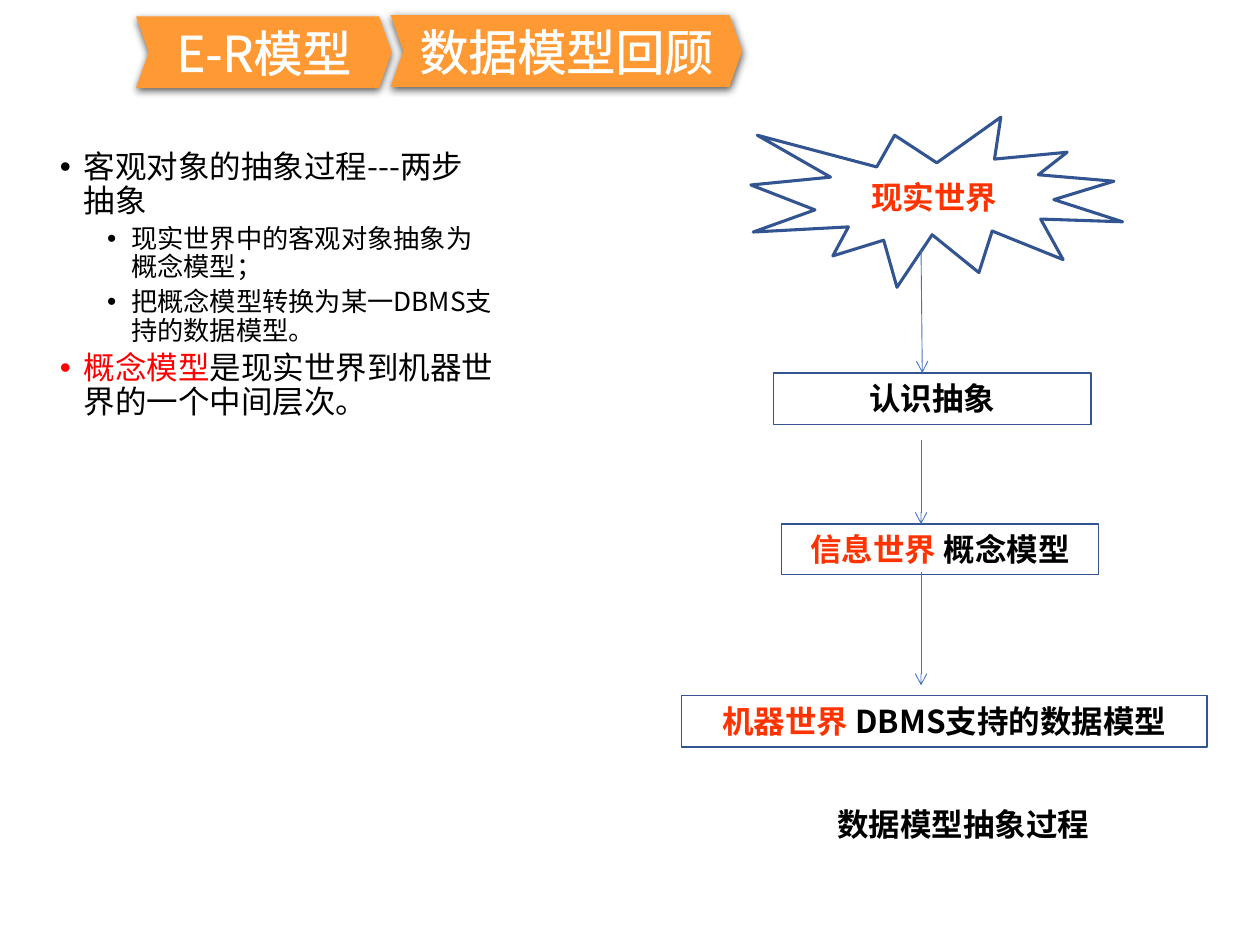
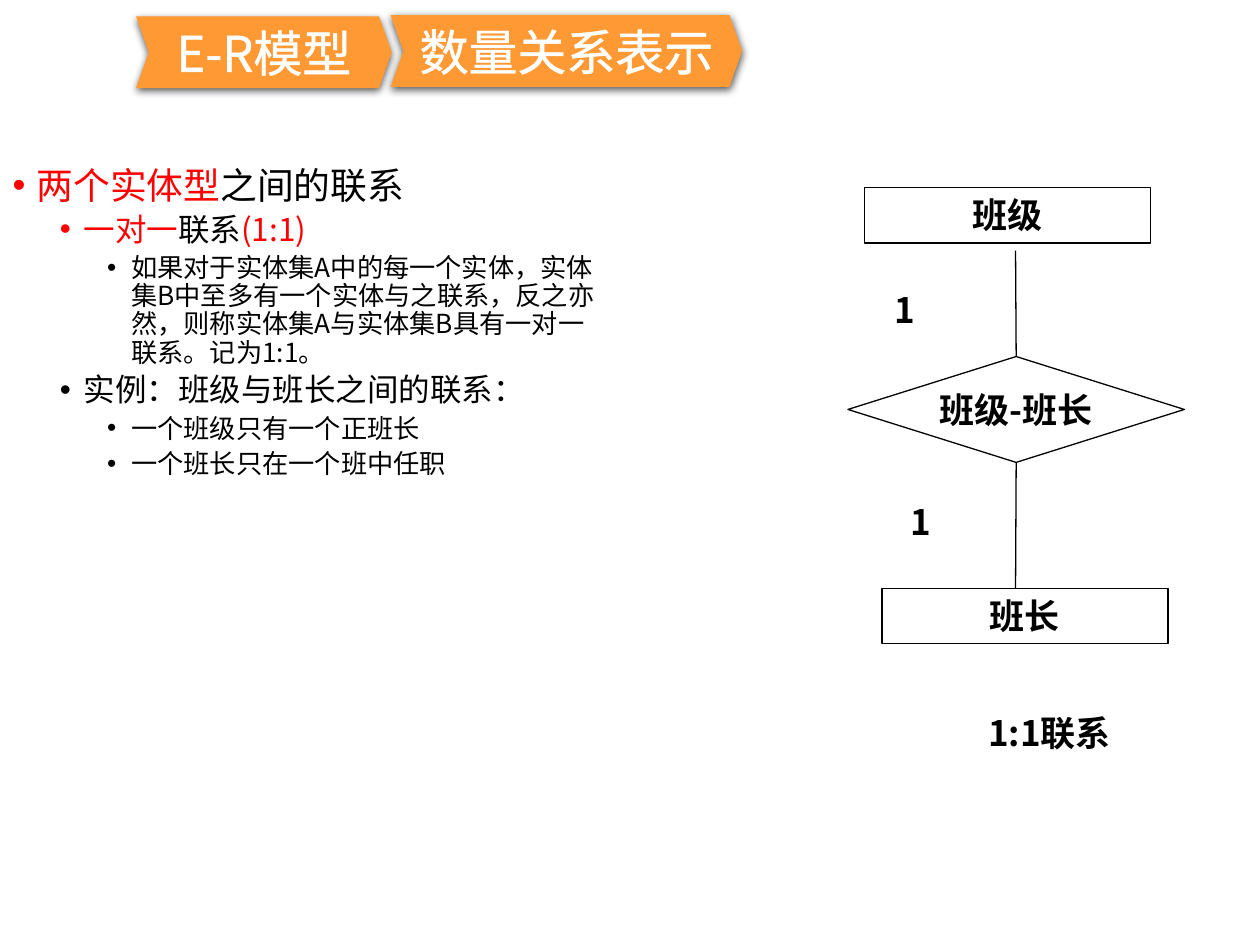
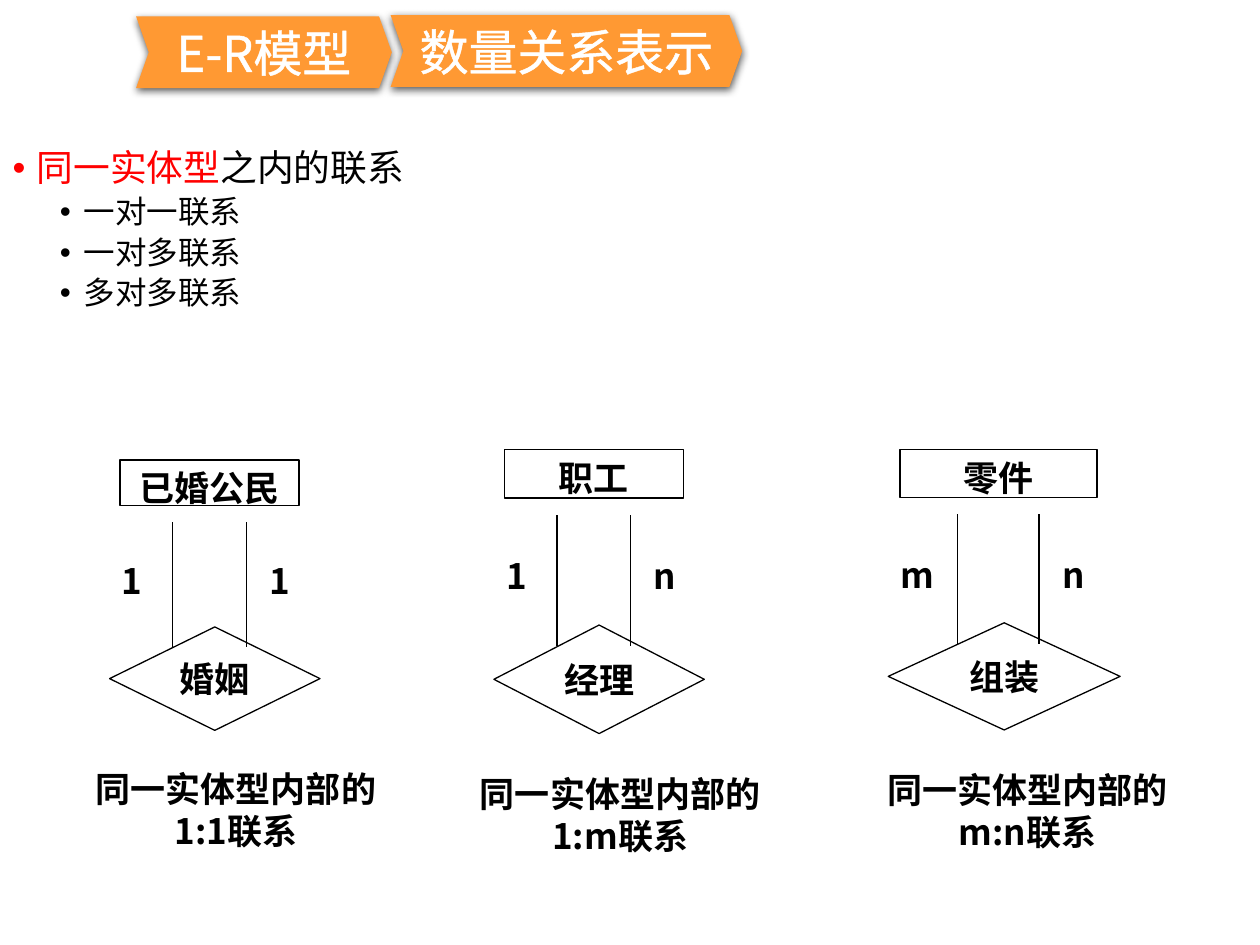
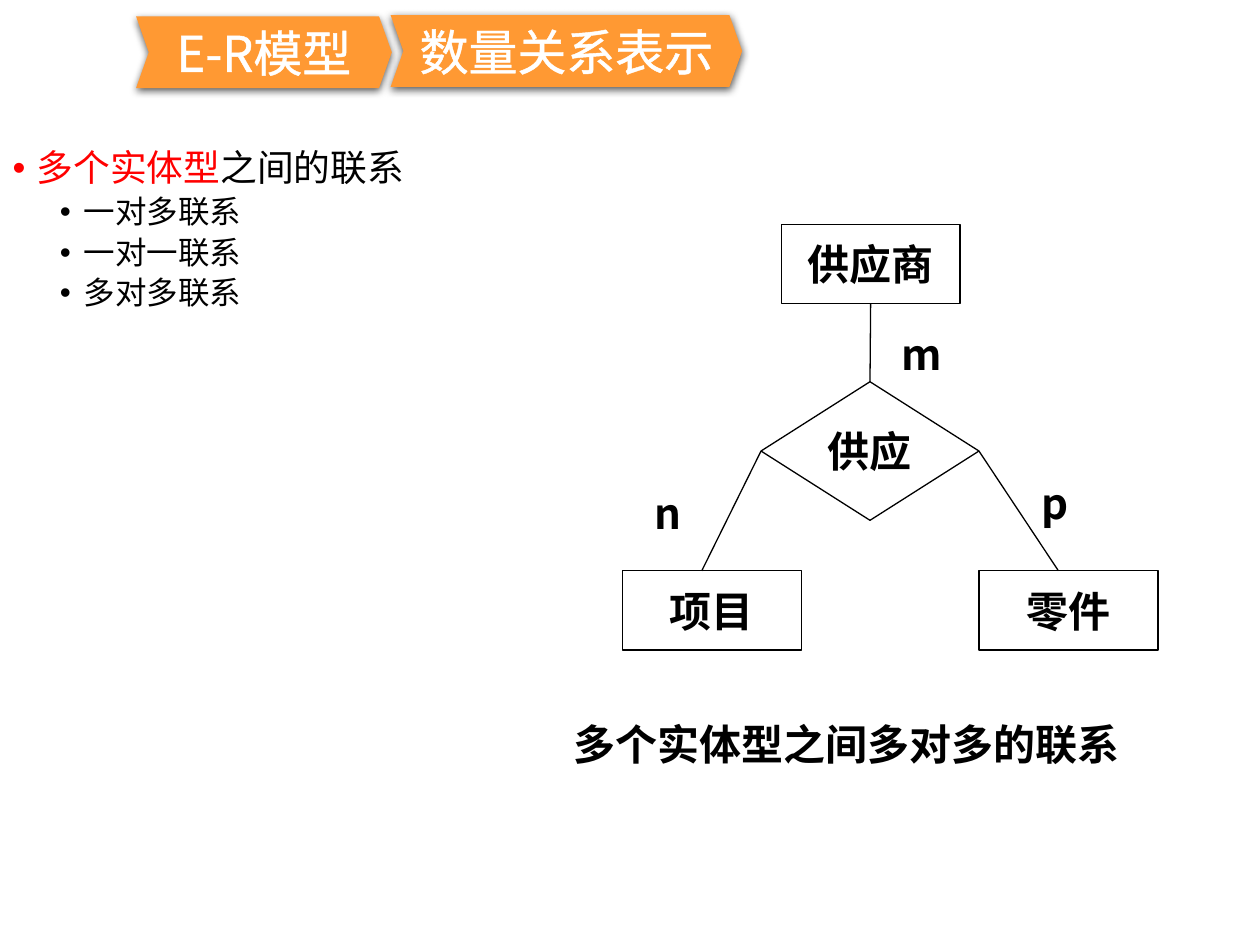
"""Build four slides on E-R models and the relations between entity types."""

import dataclasses

import pptx
import pptx.dml.color
import pptx.enum.shapes
import pptx.enum.text
import pptx.oxml
import pptx.oxml.ns
import pptx.util

KIND = pptx.enum.shapes.MSO_SHAPE
ALIGN = pptx.enum.text.PP_ALIGN
ANCHOR = pptx.enum.text.MSO_ANCHOR
WIDE, HIGH = 10, 7.5


@dataclasses.dataclass(frozen=True)
class Theme:
    font: str = "Noto Sans CJK SC"
    black: str = "000000"
    white: str = "FFFFFF"
    red: str = "FF0000"
    hot: str = "FF3300"
    band: str = "FF9933"
    navy: str = "325491"
    blue: str = "4472C4"
    title: int = 28
    node: int = 20
    flow: int = 18
    large: int = 24
    levels: tuple = (21, 18, 15)
    gaps: tuple = (7.5, 3.8, 3.8)


T = Theme()

HEADS = ["数据模型回顾", "数量关系表示", "数量关系表示", "数量关系表示"]

BODIES = [
    ((0, 1.15, 4.02, 5.6), [
        (1, "客观对象的抽象过程---两步抽象"),
        (2, "现实世界中的客观对象抽象为概念模型；"),
        (2, "把概念模型转换为某一DBMS支持的数据模型。"),
        (1, [("概念模型", T.red), "是现实世界到机器世界的一个中间层次。"]),
    ]),
    ((0, 1.28, 4.93, 5.12), [
        (0, [("两个实体型", T.red), "之间的联系"]),
        (1, [("一对一", T.red), "联系", ("(1:1)", T.red)]),
        (2, "如果对于实体集A中的每一个实体，实体集B中至多有一个实体与之联系，"
            "反之亦然，则称实体集A与实体集B具有一对一联系。记为1:1。"),
        (1, "实例：班级与班长之间的联系："),
        (2, "一个班级只有一个正班长"),
        (2, "一个班长只在一个班中任职"),
    ]),
    ((0, 1.14, 7.95, 5.12), [
        (0, [("同一实体型", T.red), "之内的联系"]),
        (1, "一对一联系"), (1, "一对多联系"), (1, "多对多联系"),
    ]),
    ((0, 1.14, 7.95, 5.12), [
        (0, [("多个实体型", T.red), "之间的联系"]),
        (1, "一对多联系"), (1, "一对一联系"), (1, "多对多联系"),
    ]),
]

STAGES = [
    ((6.14, 2.96, 2.52, 0.41), "认识抽象"),
    ((6.2, 4.16, 2.52, 0.4), [("信息世界", T.hot), " 概念模型"]),
    ((5.41, 5.52, 4.17, 0.41), [("机器世界", T.hot), " DBMS支持的数据模型"]),
]
ARROWS = [((7.31, 1.98), (7.32, 2.96)), ((7.31, 3.49), (7.31, 4.16)),
          ((7.31, 4.54), (7.31, 5.44))]

ONES = [(7, 2.24), (7.13, 3.92)]

LOOPS = [
    (0.87, 3.65, 1.67, 3.04, "已婚公民", "婚姻", "1", "1"),
    (3.92, 3.57, 1.67, 3.19, "职工", "经理", "1", "n"),
    (7.05, 3.57, 1.84, 3.15, "零件", "组装", "m", "n"),
]

PARTIES = [((6.2, 1.78), "供应商"), ((4.94, 4.53), "项目"), ((7.77, 4.53), "零件")]
COUNTS = [((7.06, 2.56), "m"), ((8.17, 3.74), "p"), ((5.1, 3.82), "n")]


def inch(box):
    return [pptx.util.Inches(part) for part in box]


def rgb(color):
    return pptx.dml.color.RGBColor.from_string(color)


def node(parent, tag, **attrs):
    item = pptx.oxml.parse_xml(f"<{tag} {pptx.oxml.ns.nsdecls('a')}/>")
    for key, value in attrs.items():
        item.set(key, str(value))
    parent.append(item)
    return item


def write(para, text, size=T.node, color=T.black, bold=True, align=ALIGN.CENTER, edge=None):
    para.alignment = align
    for part in [text] if isinstance(text, str) else text:
        words, tint = (part, color) if isinstance(part, str) else part
        run = para.add_run()
        run.text = words
        run.font.size = pptx.util.Pt(size)
        run.font.bold = bold
        run.font.name = T.font
        run.font.color.rgb = rgb(tint)
        props = run.font._element
        node(props, "a:ea", typeface=T.font)
        if edge:
            line = node(props, "a:ln", w=pptx.util.Pt(edge))
            node(node(line, "a:solidFill"), "a:srgbClr", val=tint)
            props.insert(0, line)


def put(slide, box, text, kind=None, fill=None, line=None, width=0.75,
        anchor=ANCHOR.TOP, wrap=True, **form):
    if kind is None:
        shape = slide.shapes.add_textbox(*inch(box))
    else:
        shape = slide.shapes.add_shape(kind, *inch(box))
        shape.shadow.inherit = False
    if fill:
        shape.fill.solid()
        shape.fill.fore_color.rgb = rgb(fill)
    else:
        shape.fill.background()
    if line:
        shape.line.color.rgb = rgb(line)
        shape.line.width = pptx.util.Pt(width)
    else:
        shape.line.fill.background()
    frame = shape.text_frame
    frame.word_wrap = wrap
    frame.auto_size = pptx.enum.text.MSO_AUTO_SIZE.NONE
    frame.vertical_anchor = anchor
    write(frame.paragraphs[0], text, **form)
    return shape


def box(slide, place, text, **form):
    return put(slide, place, text, KIND.RECTANGLE, **form)


def rhomb(slide, place, text, kind=KIND.DIAMOND, **form):
    return put(slide, place, text, kind, line=T.black, anchor=ANCHOR.MIDDLE, wrap=False, **form)


def link(slide, start, end, color=T.black, width=0.75, arrow=False, head=None, foot=None):
    line = slide.shapes.add_connector(
        pptx.enum.shapes.MSO_CONNECTOR.STRAIGHT, *inch(start + end))
    line.line.color.rgb = rgb(color)
    line.line.width = pptx.util.Pt(width)
    props = line._element.spPr
    if arrow:
        node(props.find(pptx.oxml.ns.qn("a:ln")), "a:tailEnd", type="arrow")
    node(props, "a:effectLst")
    if head:
        line.begin_connect(*head)
    if foot:
        line.end_connect(*foot)


def chevron(slide, place, text):
    shape = put(slide, place, text, KIND.CHEVRON, fill=T.band, anchor=ANCHOR.MIDDLE,
                wrap=False, size=T.title, color=T.white, bold=False, edge=1.45)
    shape.adjustments[0] = 0.178
    glow = node(shape._element.spPr.find(pptx.oxml.ns.qn("a:effectLst")), "a:outerShdw",
                blurRad=pptx.util.Pt(4.5), dist=pptx.util.Pt(1.5), dir=90 * 60000,
                algn="ctr", rotWithShape=0)
    node(node(glow, "a:srgbClr", val=T.black), "a:alpha", val=63000)


def bullets(holder, place, items):
    holder.left, holder.top, holder.width, holder.height = inch(place)
    frame = holder.text_frame
    frame.word_wrap = True
    frame.auto_size = pptx.enum.text.MSO_AUTO_SIZE.NONE
    frame.vertical_anchor = ANCHOR.TOP
    for rank, (level, text) in enumerate(items):
        para = frame.add_paragraph() if rank else frame.paragraphs[0]
        para.level = level
        para.line_spacing = 0.9
        para.space_before = pptx.util.Pt(T.gaps[level])
        write(para, text, size=T.levels[level], bold=False, align=ALIGN.LEFT)
        props = para._element.get_or_add_pPr()
        props.set("marL", str(pptx.util.Inches(0.19 + 0.375 * level)))
        props.set("indent", str(pptx.util.Inches(-0.19)))
        node(props, "a:buFont", typeface="Arial")
        node(props, "a:buChar", char="•")


def start(deck, head, body):
    slide = deck.slides.add_slide(deck.slide_layouts[1])
    title = slide.shapes.title._element
    title.getparent().remove(title)
    bullets(slide.placeholders[1], *body)
    chevron(slide, (1.08, 0.13, 2.03, 0.57), "E-R模型")
    chevron(slide, (3.1, 0.12, 2.79, 0.57), head)
    return slide


def stages(slide):
    put(slide, (5.96, 0.93, 2.95, 1.35), "现实世界", KIND.EXPLOSION1, line=T.navy,
        width=1.75, anchor=ANCHOR.MIDDLE, size=T.flow, color=T.hot)
    for place, text in STAGES:
        box(slide, place, text, fill=T.white, line=T.navy, size=T.flow)
    for head, foot in ARROWS:
        link(slide, head, foot, color=T.blue, width=0.5, arrow=True)
    put(slide, (6.08, 6.34, 3.13, 0.4), "数据模型抽象过程", size=T.flow)


def pair(slide):
    box(slide, (6.86, 1.49, 2.27, 0.44), "班级", line=T.black)
    tie = rhomb(slide, (6.73, 2.83, 2.67, 0.84), "班级-班长")
    box(slide, (7, 4.67, 2.27, 0.44), "班长", line=T.black)
    link(slide, (8.06, 2.83), (8.06, 1.99), head=(tie, 0))
    link(slide, (8.06, 3.67), (8.06, 4.67), head=(tie, 2))
    for spot in ONES:
        put(slide, spot + (0.67, 0.44), "1", align=ALIGN.LEFT)
    put(slide, (7.13, 5.6, 2.4, 0.44), "1:1联系")


def loops(slide):
    for left, top, wide, high, name, verb, one, two in LOOPS:
        def cell(col, row, cols, rows):
            return left + col * wide, top + row * high, cols * wide, rows * high

        box(slide, cell(0.05, 0, 0.85, 0.12), name, fill=T.white, line=T.black)
        rhomb(slide, cell(0, 0.436, 1, 0.27), verb, fill=T.white)
        for col in (0.3, 0.65):
            link(slide, cell(col, 0.163, 0, 0)[:2], cell(col, 0.489, 0, 0)[:2])
        for col, mark in ((0, one), (0.7, two)):
            box(slide, cell(col, 0.245, 0.25, 0.12), mark, fill=T.white, align=ALIGN.LEFT)
        box(slide, cell(-0.15, 0.788, 1.5, 0.213), f"同一实体型内部的{one}:"
            f"{'m' if (one, two) == ('1', 'n') else two}联系", fill=T.white)


def trio(slide):
    nodes = [box(slide, spot + (1.42, 0.63), name, line=T.black,
                 anchor=ANCHOR.MIDDLE, size=T.large) for spot, name in PARTIES]
    tie = rhomb(slide, (6.04, 3.03, 1.73, 1.1), "供应", KIND.FLOWCHART_DECISION, size=T.large)
    link(slide, (6.91, 2.41), (6.91, 3.03), head=(nodes[0], 2), foot=(tie, 0))
    link(slide, (7.77, 3.59), (8.4, 4.53), head=(tie, 3))
    link(slide, (6.04, 3.59), (5.57, 4.53), head=(tie, 1))
    for spot, mark in COUNTS:
        put(slide, spot + (0.63, 0.5), mark, size=T.large, align=ALIGN.LEFT)
    put(slide, (4.19, 5.65, 5.05, 0.51), "多个实体型之间多对多的联系", size=T.large)


def main():
    deck = pptx.Presentation()
    deck.slide_width, deck.slide_height = inch((WIDE, HIGH))
    for head, body, draw in zip(HEADS, BODIES, (stages, pair, loops, trio)):
        draw(start(deck, head, body))
    deck.save("out.pptx")


if __name__ == "__main__":
    main()
